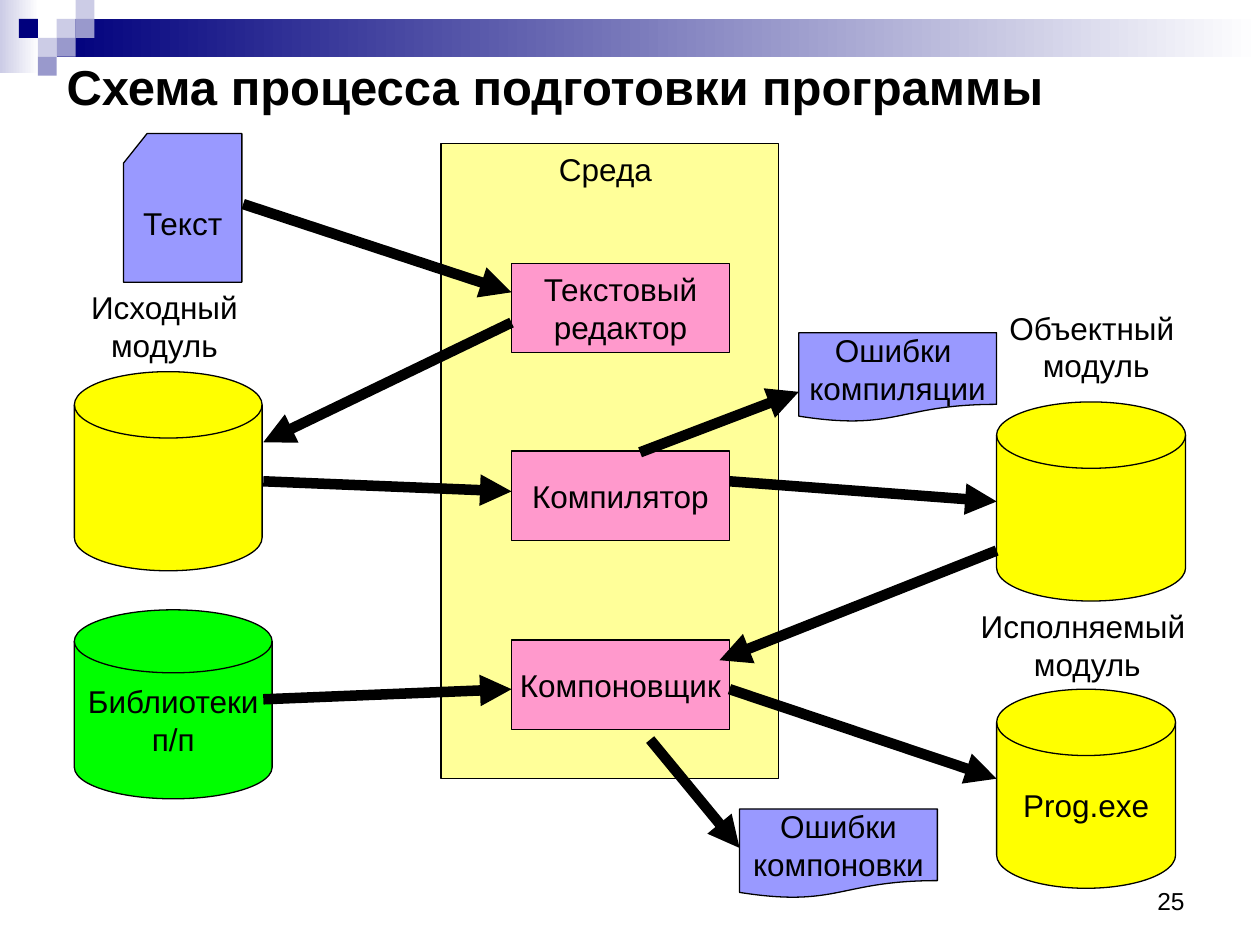
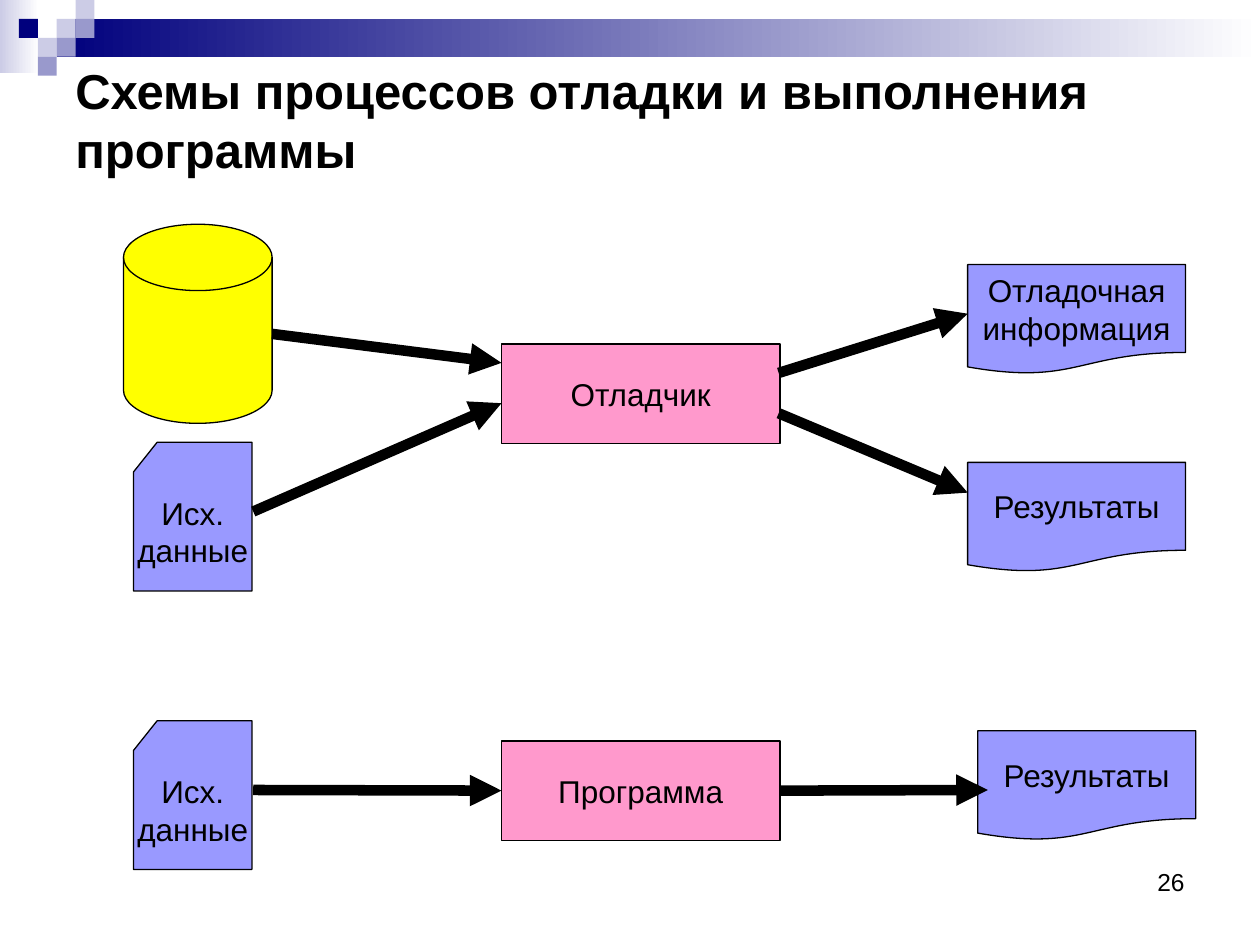
from dataclasses import dataclass
from typing import NamedTuple, Union

from lxml import etree
from pptx import Presentation
from pptx.dml.color import RGBColor
from pptx.enum.shapes import MSO_CONNECTOR, MSO_SHAPE
from pptx.enum.text import MSO_ANCHOR as Anchor, PP_ALIGN as Align
from pptx.oxml.ns import qn
from pptx.util import Inches, Pt

FONT = "Arial"
BLACK = RGBColor(0x00, 0x00, 0x00)
WHITE = RGBColor(0xFF, 0xFF, 0xFF)
NAVY = RGBColor(0x00, 0x00, 0x7D)
LILAC = RGBColor(0xCC, 0xCC, 0xE6)
LAVENDER = RGBColor(0x99, 0x99, 0xCC)
PERIWINKLE = RGBColor(0x99, 0x99, 0xFF)
PALE_YELLOW = RGBColor(0xFF, 0xFF, 0x99)
YELLOW = RGBColor(0xFF, 0xFF, 0x00)
GREEN = RGBColor(0x00, 0xFF, 0x00)
PINK = RGBColor(0xFF, 0x99, 0xCC)


class Area(NamedTuple):
    left: float
    top: float
    width: float
    height: float

    def lengths(self) -> list:
        return [Inches(value) for value in self]


class Point(NamedTuple):
    x: float
    y: float


class Kind(NamedTuple):
    preset: MSO_SHAPE
    fill: RGBColor
    anchor: Anchor = Anchor.MIDDLE


ENVIRONMENT = Kind(MSO_SHAPE.RECTANGLE, PALE_YELLOW, Anchor.TOP)
PROCESS = Kind(MSO_SHAPE.FLOWCHART_PROCESS, PINK)
CARD = Kind(MSO_SHAPE.FLOWCHART_CARD, PERIWINKLE)
DOCUMENT = Kind(MSO_SHAPE.FLOWCHART_DOCUMENT, PERIWINKLE)
MODULE = Kind(MSO_SHAPE.FLOWCHART_MAGNETIC_DISK, YELLOW)
LIBRARY = Kind(MSO_SHAPE.FLOWCHART_MAGNETIC_DISK, GREEN)


@dataclass(frozen=True)
class Node:
    kind: Kind
    area: Area
    text: str = ""


@dataclass(frozen=True)
class Side:
    """Middle of a rectangle's side: 0 top, 1 left, 2 bottom, 3 right."""
    node: Node
    site: int


@dataclass(frozen=True)
class Arrow:
    start: Union[Point, Side]
    end: Union[Point, Side]


@dataclass(frozen=True)
class Label:
    area: Area
    text: str


@dataclass(frozen=True)
class Scheme:
    title: str
    title_area: Area
    number: int
    number_top: float
    nodes: list
    arrows: list
    labels: list


def write(shape, text: str, size: int = 18, align: Align = Align.CENTER,
          anchor: Anchor = Anchor.TOP, bold: bool = False, wrap: bool = False) -> None:
    frame = shape.text_frame
    frame.word_wrap = wrap
    frame.vertical_anchor = anchor
    frame.text = text
    for para in frame.paragraphs:
        para.alignment = align
        para.font.name = FONT
        para.font.size = Pt(size)
        para.font.bold = bold
        para.font.color.rgb = BLACK


def add_block(page, area: Area, fill: RGBColor, preset=MSO_SHAPE.RECTANGLE):
    block = page.shapes.add_shape(preset, *area.lengths())
    block.shadow.inherit = False
    block.fill.solid()
    block.fill.fore_color.rgb = fill
    block.line.fill.background()
    return block


def add_fading_band(page, area: Area, color: RGBColor) -> None:
    band = add_block(page, area, color)
    band.fill.gradient()
    band.fill.gradient_angle = 0
    for stop, stop_color in zip(band.fill.gradient_stops, (color, WHITE)):
        stop.color.rgb = stop_color


def add_header(page) -> None:
    add_fading_band(page, Area(0, 0, 0.31, 0.58), LILAC)
    add_fading_band(page, Area(0.45, 0.15, 9.55, 0.3), NAVY)
    # Mosaic squares by column and row
    cell = 0.15
    for column, row, color in (
        (3, 1, LILAC), (4, 0, LILAC), (4, 1, LAVENDER), (2, 2, LILAC),
        (1, 1, NAVY), (3, 2, LAVENDER), (2, 3, LAVENDER),
    ):
        add_block(page, Area(column * cell, row * cell, cell, cell), color)


def add_node(page, node: Node):
    shape = add_block(page, node.area, node.kind.fill, node.kind.preset)
    shape.line.color.rgb = BLACK
    shape.line.width = Pt(0.75)
    if node.text:
        write(shape, node.text, anchor=node.kind.anchor)
    return shape


def add_arrow(page, arrow: Arrow, drawn: dict) -> None:
    ends = (arrow.start, arrow.end)
    places = [Point(0, 0) if isinstance(end, Side) else end for end in ends]
    line = page.shapes.add_connector(
        MSO_CONNECTOR.STRAIGHT, *[Inches(value) for place in places for value in place])
    for end, connect in zip(ends, (line.begin_connect, line.end_connect)):
        if isinstance(end, Side):
            connect(drawn[end.node], end.site)
    line.line.color.rgb = BLACK
    line.line.width = Pt(6)
    etree.SubElement(line.line._get_or_add_ln(), qn("a:tailEnd"), type="triangle")
    etree.SubElement(line._element.spPr, qn("a:effectLst"))


def add_text(page, area: Area, text: str, **style) -> None:
    write(page.shapes.add_textbox(*area.lengths()), text, **style)


def add_scheme(deck, scheme: Scheme) -> None:
    page = deck.slides.add_slide(deck.slide_layouts[6])
    add_header(page)
    add_text(page, Area(7.17, scheme.number_top, 2.33, 0.52), str(scheme.number),
             size=14, align=Align.RIGHT, wrap=True)
    add_text(page, scheme.title_area, scheme.title, size=28, align=Align.LEFT,
             anchor=Anchor.MIDDLE, bold=True, wrap=True)
    drawn = {node: add_node(page, node) for node in scheme.nodes}
    for arrow in scheme.arrows:
        add_arrow(page, arrow, drawn)
    for label in scheme.labels:
        add_text(page, label.area, label.text)


# Preparation: the three tools stand at equal steps inside the environment
TOOLS = [
    Node(PROCESS, Area(4.06, round(2.09 + 1.495 * step, 2), 1.73, 0.71), name)
    for step, name in enumerate(("Текстовый\nредактор", "Компилятор", "Компоновщик"))
]
PREPARATION = Scheme(
    title="Схема процесса подготовки программы",
    title_area=Area(0.43, 0.36, 9, 0.64),
    number=25,
    number_top=6.98,
    nodes=[
        Node(ENVIRONMENT, Area(3.5, 1.14, 2.68, 5.04), "Среда "),
        *TOOLS,
        Node(CARD, Area(0.98, 1.06, 0.94, 1.18), "Текст"),
        Node(MODULE, Area(0.59, 2.95, 1.49, 1.58)),
        Node(MODULE, Area(7.91, 3.19, 1.5, 1.58)),
        Node(LIBRARY, Area(0.59, 4.84, 1.57, 1.5), "Библиотеки\nп/п"),
        Node(MODULE, Area(7.91, 5.47, 1.42, 1.58), "Prog.exe"),
        Node(DOCUMENT, Area(6.34, 2.64, 1.57, 0.71), "Ошибки \nкомпиляции"),
        Node(DOCUMENT, Area(5.87, 6.42, 1.57, 0.71), "Ошибки\nкомпоновки"),
    ],
    arrows=[
        Arrow(Point(1.93, 1.62), Point(4.06, 2.32)),
        Arrow(Point(4.06, 2.56), Point(2.09, 3.51)),
        Arrow(Point(2.09, 3.82), Point(4.06, 3.9)),
        Arrow(Point(5.79, 3.82), Point(7.91, 3.98)),
        Arrow(Point(5.08, 3.59), Point(6.34, 3.11)),
        Arrow(Point(5.16, 5.87), Point(5.87, 6.73)),
        Arrow(Point(5.79, 5.47), Point(7.91, 6.18)),
        Arrow(Point(2.09, 5.55), Point(4.06, 5.47)),
        Arrow(Point(7.91, 4.37), Point(5.71, 5.24)),
    ],
    labels=[
        Label(Area(7.91, 2.4, 1.58, 0.7), "Объектный \nмодуль"),
        Label(Area(7.68, 4.77, 1.9, 0.7), "Исполняемый \nмодуль"),
        Label(Area(0.62, 2.24, 1.37, 0.7), "Исходный\nмодуль"),
    ],
)

# Debugging above, plain execution below
PROGRAM = Node(PROCESS, Area(3.98, 5.88, 2.21, 0.79), "Программа")
EXECUTION = Scheme(
    title="Схемы процессов отладки и выполнения\vпрограммы",
    title_area=Area(0.5, 0.5, 9, 0.89),
    number=26,
    number_top=6.83,
    nodes=[
        Node(MODULE, Area(0.98, 1.78, 1.18, 1.58)),
        *[Node(CARD, Area(1.06, top, 0.94, 1.18), "Исх.\nданные") for top in (3.51, 5.72)],
        Node(PROCESS, Area(3.98, 2.73, 2.21, 0.79), "Отладчик"),
        PROGRAM,
        Node(DOCUMENT, Area(7.68, 2.1, 1.73, 0.87), "Отладочная\nинформация"),
        *[Node(DOCUMENT, Area(left, top, 1.73, 0.87), "Результаты")
          for left, top in ((7.68, 3.67), (7.76, 5.8))],
    ],
    arrows=[
        Arrow(Point(2.16, 2.65), Point(3.98, 2.88)),
        Arrow(Point(2.01, 4.06), Point(3.98, 3.2)),
        Arrow(Point(6.18, 2.96), Point(7.68, 2.49)),
        Arrow(Point(6.18, 3.28), Point(7.68, 3.91)),
        Arrow(Side(PROGRAM, 3), Point(7.84, 6.27)),
        Arrow(Point(2.01, 6.27), Side(PROGRAM, 1)),
    ],
    labels=[],
)


def main() -> None:
    deck = Presentation()
    deck.slide_width, deck.slide_height = Inches(10), Inches(7.5)
    for scheme in (PREPARATION, EXECUTION):
        add_scheme(deck, scheme)
    deck.save("out.pptx")


if __name__ == "__main__":
    main()
